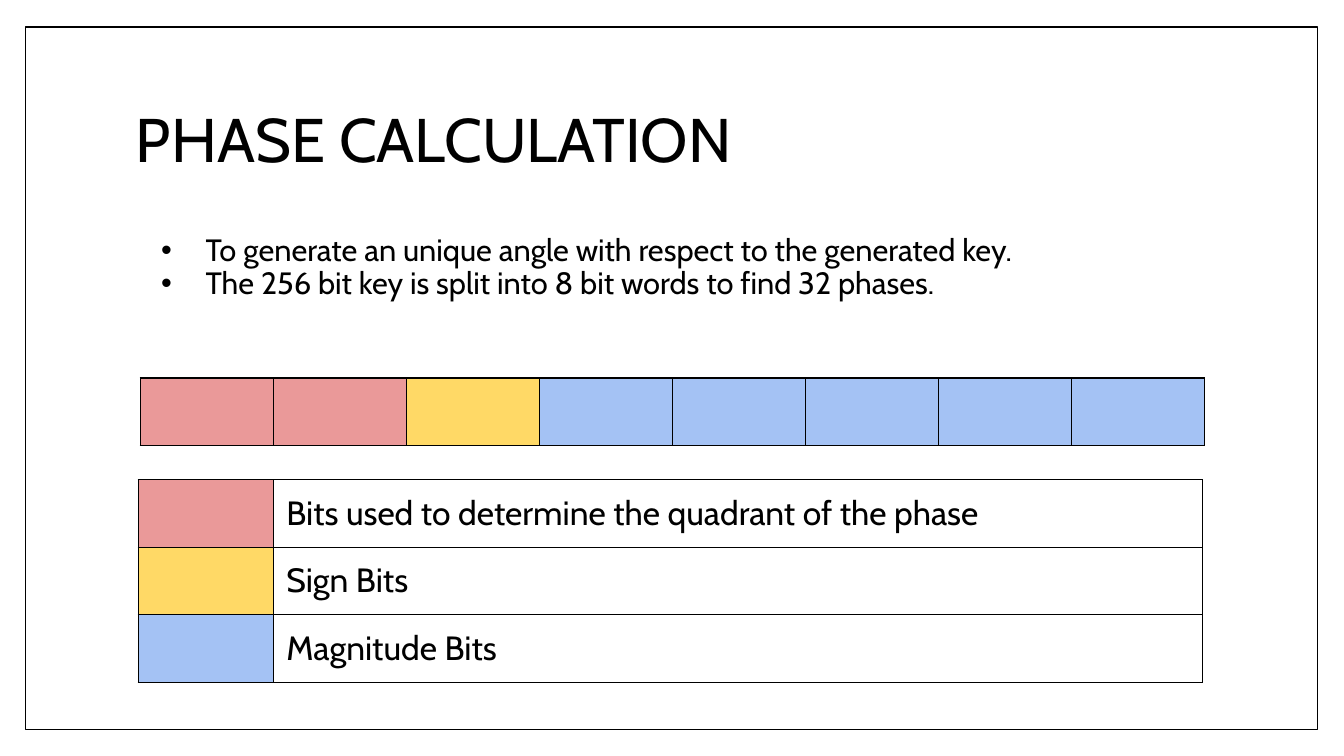
from dataclasses import dataclass

from lxml.etree import SubElement
from pptx import Presentation
from pptx.dml.color import RGBColor
from pptx.enum.shapes import MSO_SHAPE
from pptx.enum.text import MSO_ANCHOR
from pptx.oxml.ns import qn
from pptx.util import Inches, Pt


@dataclass(frozen=True)
class Theme:
    font: str = "Cabin"
    ink: str = "000000"
    paper: str = "FFFFFF"
    quadrant: str = "EA9999"
    sign: str = "FFD966"
    magnitude: str = "A4C2F4"
    title_size: int = 44
    body_size: int = 22
    legend_size: int = 24
    line_width: int = 1


THEME = Theme()
ROW_HEIGHT = 0.67
TABLE_WIDTH = 10.56
CELL_MARGIN = 0.13

BULLETS = [
    "To generate an unique angle with respect to the generated key.",
    "The 256 bit key is split into 8 bit words to find 32 phases.",
]
WORD_BITS = [THEME.quadrant] * 2 + [THEME.sign] + [THEME.magnitude] * 5
LEGEND = [
    (THEME.quadrant, "Bits used to determine the quadrant of the phase"),
    (THEME.sign, "Sign Bits"),
    (THEME.magnitude, "Magnitude Bits"),
]


def color(value):
    return RGBColor.from_string(value)


def add_run(para, text, size):
    span = para.add_run()
    span.text = text
    span.font.name = THEME.font
    span.font.size = Pt(size)
    span.font.color.rgb = color(THEME.ink)


def add_frame(page):
    frame = page.shapes.add_shape(
        MSO_SHAPE.RECTANGLE, Inches(0.25), Inches(0.27), Inches(12.82), Inches(6.97))
    frame.shadow.inherit = False
    frame.fill.solid()
    frame.fill.fore_color.rgb = color(THEME.paper)
    frame.line.color.rgb = color(THEME.ink)
    frame.line.width = Pt(THEME.line_width)


def add_text(page, left, top, height, lines, size, anchor=MSO_ANCHOR.TOP):
    """Add a wrapping text box with one paragraph per line and return its paragraphs."""
    box = page.shapes.add_textbox(
        Inches(left), Inches(top), Inches(10.8), Inches(height))
    frame = box.text_frame
    frame.word_wrap = True
    frame.vertical_anchor = anchor
    for index, line in enumerate(lines):
        para = frame.add_paragraph() if index else frame.paragraphs[0]
        para.line_spacing = 0.9
        add_run(para, line, size)
    return frame.paragraphs


def add_bullet(para):
    properties = para._p.get_or_add_pPr()
    properties.set("marL", str(Inches(0.67)))
    properties.set("indent", str(Inches(-0.44)))
    bullet_color = SubElement(properties, qn("a:buClr"))
    SubElement(bullet_color, qn("a:srgbClr"), val=THEME.ink)
    SubElement(properties, qn("a:buFont"), typeface="Arial")
    SubElement(properties, qn("a:buChar"), char="•")


def format_cell(cell, fill=None, text=""):
    properties = cell._tc.get_or_add_tcPr()
    for side in ("lnL", "lnR", "lnT", "lnB"):
        border = SubElement(properties, qn(f"a:{side}"), w=str(Pt(THEME.line_width)))
        solid = SubElement(border, qn("a:solidFill"))
        SubElement(solid, qn("a:srgbClr"), val=THEME.ink)
    if fill:
        cell.fill.solid()
        cell.fill.fore_color.rgb = color(fill)
    else:
        cell.fill.background()
    cell.margin_left = cell.margin_right = Inches(CELL_MARGIN)
    cell.margin_top = cell.margin_bottom = Inches(CELL_MARGIN)
    if text:
        add_run(cell.text_frame.paragraphs[0], text, THEME.legend_size)


def add_grid(page, left, top, widths, rows):
    """Add a bordered table; each row is a list of (fill, text) cells."""
    table = page.shapes.add_table(
        len(rows), len(widths), Inches(left), Inches(top),
        Inches(sum(widths)), Inches(ROW_HEIGHT * len(rows))).table
    table.first_row = table.horz_banding = False
    for column, width in zip(table.columns, widths):
        column.width = Inches(width)
    for table_row, cells in zip(table.rows, rows):
        table_row.height = Inches(ROW_HEIGHT)
        for cell, (fill, text) in zip(table_row.cells, cells):
            format_cell(cell, fill, text)


def main():
    deck = Presentation()
    deck.slide_width, deck.slide_height = Inches(13.33), Inches(7.5)
    page = deck.slides.add_slide(deck.slide_layouts[6])

    add_frame(page)
    add_text(page, 1.25, 0.67, 1.48, ["PHASE CALCULATION"],
             THEME.title_size, MSO_ANCHOR.MIDDLE)
    bullets = add_text(page, 1.27, 2.28, 4.42, BULLETS, THEME.body_size)
    bullets[0].space_before = Pt(14.7)
    for para in bullets:
        add_bullet(para)

    bit_width = TABLE_WIDTH / len(WORD_BITS)
    add_grid(page, 1.39, 3.75, [bit_width] * len(WORD_BITS),
             [[(fill, "") for fill in WORD_BITS]])
    add_grid(page, 1.37, 4.76, [1.34, TABLE_WIDTH - 1.34],
             [[(fill, ""), (None, label)] for fill, label in LEGEND])

    deck.save("out.pptx")


if __name__ == "__main__":
    main()
